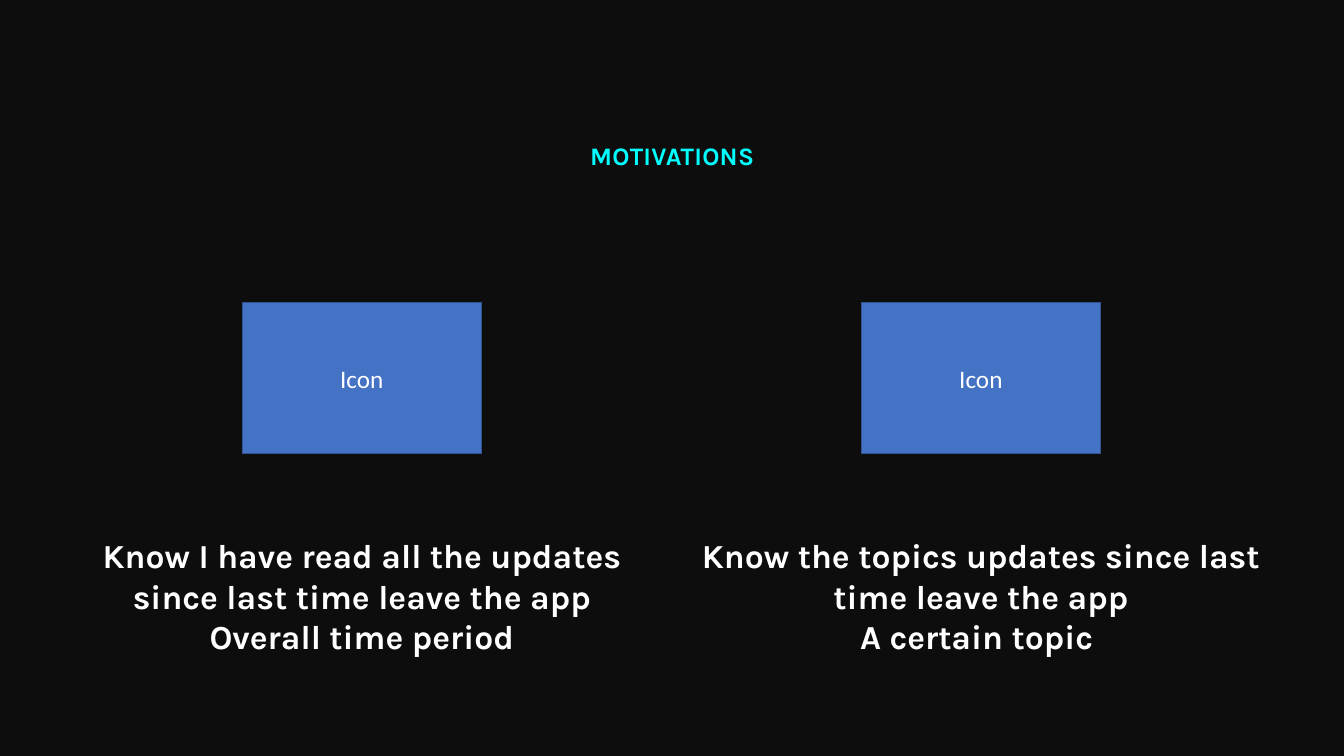
from pptx import Presentation
from pptx.dml.color import RGBColor
from pptx.enum import shapes as sh, text as tx
from pptx.util import Cm, Pt

GOALS = [
    ("Know I have read all the updates since last time leave the app",
     "Overall time period"),
    ("Know the topics updates since last time leave the app",
     "A certain topic "),
]
LEFT, WIDTH = 1.32, 15.6
ICON = 6.02


def paint(color, value):
    color.rgb = RGBColor.from_string(value)


def write(frame, *lines, size=18, font="Karla", color="FFFFFF", bold=True,
          track=None, anchor=tx.MSO_ANCHOR.TOP):
    """Fill a text frame with centred paragraphs; track is in points."""
    frame.word_wrap = True
    frame.auto_size = tx.MSO_AUTO_SIZE.NONE
    frame.vertical_anchor = anchor
    for i, line in enumerate(lines):
        para = frame.paragraphs[0] if i == 0 else frame.add_paragraph()
        para.alignment = tx.PP_ALIGN.CENTER
        run = para.add_run()
        run.text = line
        run.font.size = Pt(size)
        run.font.name = font
        run.font.bold = bold
        paint(run.font.color, color)
        if track:
            run.font._element.set("spc", str(round(track * 100)))


def head(slide, line):
    title = slide.shapes.title
    title.left, title.top = Cm(12.57), Cm(3.4)
    title.width, title.height = Cm(8.74), Cm(1.02)
    write(title.text_frame, line, color="00FFFF", track=0.2)


def icon(slide, left):
    box = slide.shapes.add_shape(sh.MSO_SHAPE.RECTANGLE, Cm(left), Cm(7.62),
                                 Cm(ICON), Cm(3.81))
    box.shadow.inherit = False
    box.fill.solid()
    paint(box.fill.fore_color, "4472C4")
    paint(box.line.color, "325491")
    box.line.width = Pt(1)
    write(box.text_frame, "Icon", font="Calibri", bold=False,
          anchor=tx.MSO_ANCHOR.MIDDLE)


def goal(slide, left, lines):
    box = slide.shapes.add_textbox(Cm(left), Cm(13.36), Cm(WIDTH), Cm(3.33))
    write(box.text_frame, *lines, size=24)


def main():
    deck = Presentation()
    deck.slide_width, deck.slide_height = Cm(33.87), Cm(19.05)
    slide = deck.slides.add_slide(deck.slide_layouts.get_by_name("Title Only"))
    slide.background.fill.solid()
    paint(slide.background.fill.fore_color, "0D0D0D")
    head(slide, "MOTIVATIONS")
    for i, lines in enumerate(GOALS):
        left = LEFT + i * WIDTH
        icon(slide, left + (WIDTH - ICON) / 2)
        goal(slide, left, lines)
    deck.save("out.pptx")


if __name__ == "__main__":
    main()
